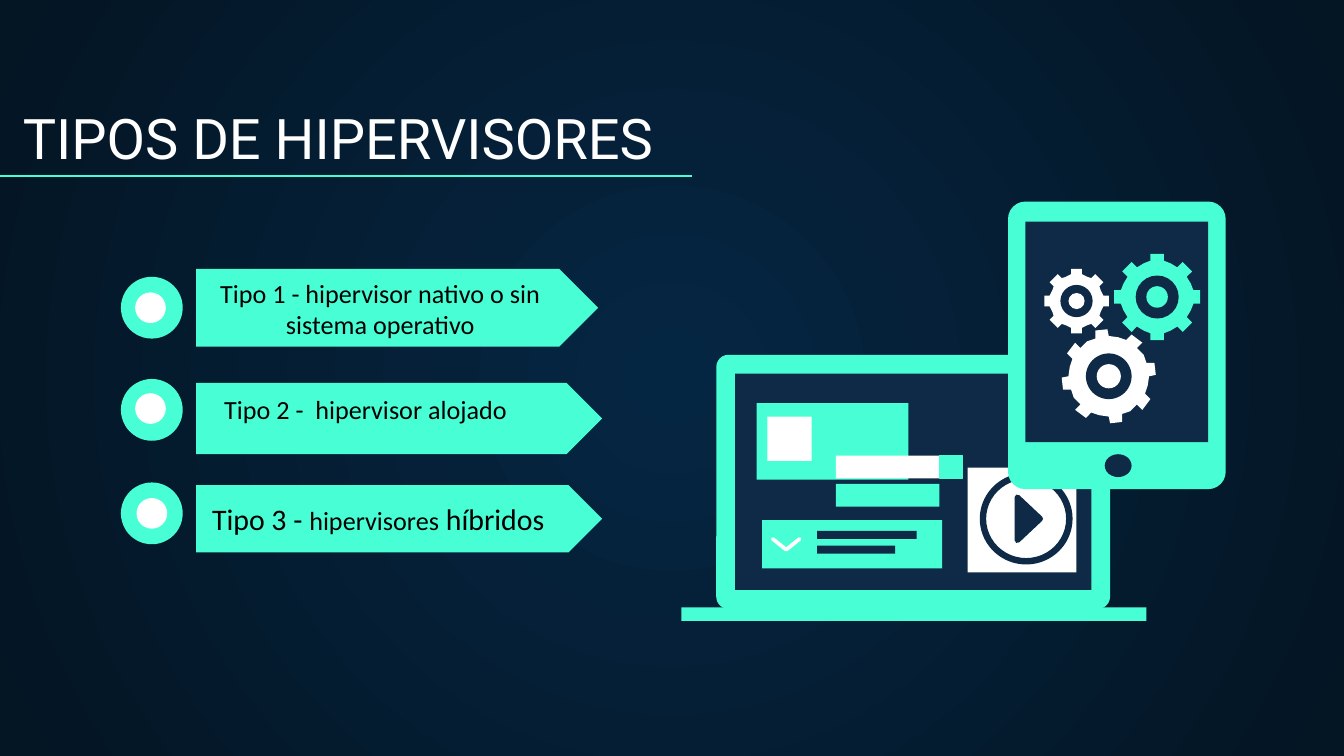
import math
import lxml.etree
import pptx
import pptx.util
import pptx.dml.color
import pptx.enum.shapes
import pptx.enum.text
import pptx.oxml.ns

RGB = pptx.dml.color.RGBColor
KIND = pptx.enum.shapes.MSO_SHAPE
ALIGN = pptx.enum.text.PP_ALIGN
qn = pptx.oxml.ns.qn

MINT = RGB(0x48, 0xFF, 0xD5)
NAVY = RGB(0x0E, 0x2A, 0x47)
WHITE = RGB(0xFF, 0xFF, 0xFF)
BLACK = RGB(0, 0, 0)
GLOW = RGB(0x05, 0x26, 0x43)
EDGE = RGB(0x04, 0x15, 0x23)
PX = 9144

TITLE = ((7, 71, 857, 66), ALIGN.LEFT, "Roboto", WHITE,
         [("TIPOS DE HIPERVISORES", 30)])
TYPES = [
    {"arrow": (146, 200, 299, 58), "disc": (90, 206), "dot": (102, 219),
     "box": (138, 197, 290, 66), "align": ALIGN.CENTER,
     "runs": [("Tipo 1 - hipervisor nativo o sin sistema operativo", 14)]},
    {"arrow": (146, 285, 302, 53), "disc": (90, 282), "dot": (102, 294),
     "box": (157, 292, 236, 34), "align": ALIGN.LEFT,
     "runs": [("Tipo 2 -  hipervisor alojado", 14)]},
    {"arrow": (146, 361, 302, 50), "disc": (90, 359), "dot": (103, 372),
     "box": (148, 361, 302, 48), "align": ALIGN.LEFT,
     "runs": [("Tipo 3 - ", 16), ("hipervisores", 14), (" híbridos", 16)]},
]
LAPTOP = (533, 264, 293, 189, 9)
SCREEN = [
    (547, 278, 265, 161, NAVY),
    (507, 452, 346, 10, MINT),
    (563, 300, 113, 57, MINT),
    (571, 310, 33, 33, WHITE),
    (567, 387, 134, 36, MINT),
    (608, 395, 74, 6, NAVY),
    (608, 406, 58, 6, NAVY),
    (622, 360, 77, 17, MINT),
    (622, 339, 77, 17, WHITE),
    (699, 339, 17, 17, MINT, MINT, 0.75),
    (720, 348, 81, 78, WHITE),
]
CHECK = [(575, 401), (585, 409), (595, 401)]
PLAY = [(757, 370), (757, 402), (774, 386)]
TABLET = (750, 150, 162, 214, 13)
GEARS = [
    (861, 221, 32, 27, 16, 8, 5, 0, MINT),
    (801, 224, 24, 20, 12, 6, 4, 0, WHITE),
    (825, 280, 35, 30, 17, 9, 5, -9, WHITE),
]

deck = pptx.Presentation()
deck.slide_width = 1000 * PX
deck.slide_height = deck.slide_width * 9 // 16
slide = deck.slides.add_slide(deck.slide_layouts[5])
shapes = slide.shapes


def paint(shape, fill, line=None, width=0):
    shape.shadow.inherit = False
    if fill is None:
        shape.fill.background()
    else:
        shape.fill.solid()
        shape.fill.fore_color.rgb = fill
    if line is None:
        shape.line.fill.background()
    else:
        shape.line.color.rgb = line
        shape.line.width = pptx.util.Pt(width)
    return shape


def put(kind, x, y, w, h, fill, line=None, width=0):
    shape = shapes.add_shape(kind, x * PX, y * PX, w * PX, h * PX)
    return paint(shape, fill, line, width)


def disc(x, y, r, fill):
    return put(KIND.OVAL, x - r, y - r, 2 * r, 2 * r, fill)


def panel(x, y, w, h, r):
    put(KIND.ROUNDED_RECTANGLE, x, y, w, h, MINT).adjustments[0] = r / min(w, h)


def trace(points, closed, fill, line=None, width=0):
    pen = shapes.build_freeform(*points[0], scale=PX)
    pen.add_line_segments(points[1:], close=closed)
    shape = paint(pen.convert_to_shape(), fill, line, width)
    if line is not None:
        edge = shape.line._get_or_add_ln()
        edge.set("cap", "rnd")
        lxml.etree.SubElement(edge, qn("a:round"))


def gear(x, y, tip, body, hole, hub, half, turn, fill):
    points = []
    base = math.sqrt(body ** 2 - half ** 2)
    for tooth in range(8):
        a = math.radians(turn + 45 * tooth)
        mid = a + math.pi / 8
        for u, v in ((base, -half), (tip, -half), (tip, half), (base, half)):
            points.append((x + u * math.cos(a) - v * math.sin(a),
                           y + u * math.sin(a) + v * math.cos(a)))
        points.append((x + body * math.cos(mid), y + body * math.sin(mid)))
    trace(points, True, fill)
    disc(x, y, hole, NAVY)
    disc(x, y, hub, fill)


def write(shape, box, align, font, color, runs):
    shape.left, shape.top, shape.width, shape.height = [n * PX for n in box]
    frame = shape.text_frame
    frame.word_wrap = True
    frame.auto_size = pptx.enum.text.MSO_AUTO_SIZE.NONE
    frame.vertical_anchor = pptx.enum.text.MSO_ANCHOR.BOTTOM
    frame.margin_left = frame.margin_right = 10 * PX
    frame.margin_top = frame.margin_bottom = 10 * PX
    para = frame.paragraphs[0]
    para.alignment = align
    for text, size in runs:
        run = para.add_run()
        run.text = text
        run.font.size = pptx.util.Pt(size)
        run.font.name = font
        run.font.color.rgb = color


back = slide.background.fill
back.gradient()
for stop, color in zip(back.gradient_stops, (GLOW, EDGE)):
    stop.color.rgb = color
grad = slide.element.find(".//" + qn("a:gradFill"))
for old in grad.findall(qn("a:lin")):
    grad.remove(old)
ring = lxml.etree.SubElement(grad, qn("a:path"), {"path": "circle"})
lxml.etree.SubElement(ring, qn("a:fillToRect"),
                      dict.fromkeys("ltrb", "50000"))

write(shapes.title, *TITLE)
rule = shapes.add_connector(pptx.enum.shapes.MSO_CONNECTOR.STRAIGHT,
                            0, 131 * PX, 515 * PX, 131 * PX)
rule.line.color.rgb = MINT
rule.line.width = pptx.util.Pt(0.75)
lxml.etree.SubElement(rule._element.spPr, qn("a:effectLst"))

for item in TYPES:
    put(KIND.PENTAGON, *item["arrow"], MINT)
    put(KIND.OVAL, *item["disc"], 46, 46, MINT)
    put(KIND.OVAL, *item["dot"], 20, 20, WHITE, WHITE, 2)
    label = shapes.add_textbox(0, 0, PX, PX)
    write(label, item["box"], item["align"], "Calibri", BLACK, item["runs"])

panel(*LAPTOP)
for block in SCREEN:
    put(KIND.RECTANGLE, *block)
trace(CHECK, False, None, WHITE, 2)
put(KIND.DONUT, 729, 352, 69, 68, NAVY).adjustments[0] = 0.07
trace(PLAY, True, NAVY, NAVY, 3)

panel(*TABLET)
put(KIND.RECTANGLE, 763, 165, 136, 164, NAVY)
put(KIND.OVAL, 822, 338, 20, 17, NAVY)
for wheel in GEARS:
    gear(*wheel)

deck.save("out.pptx")
